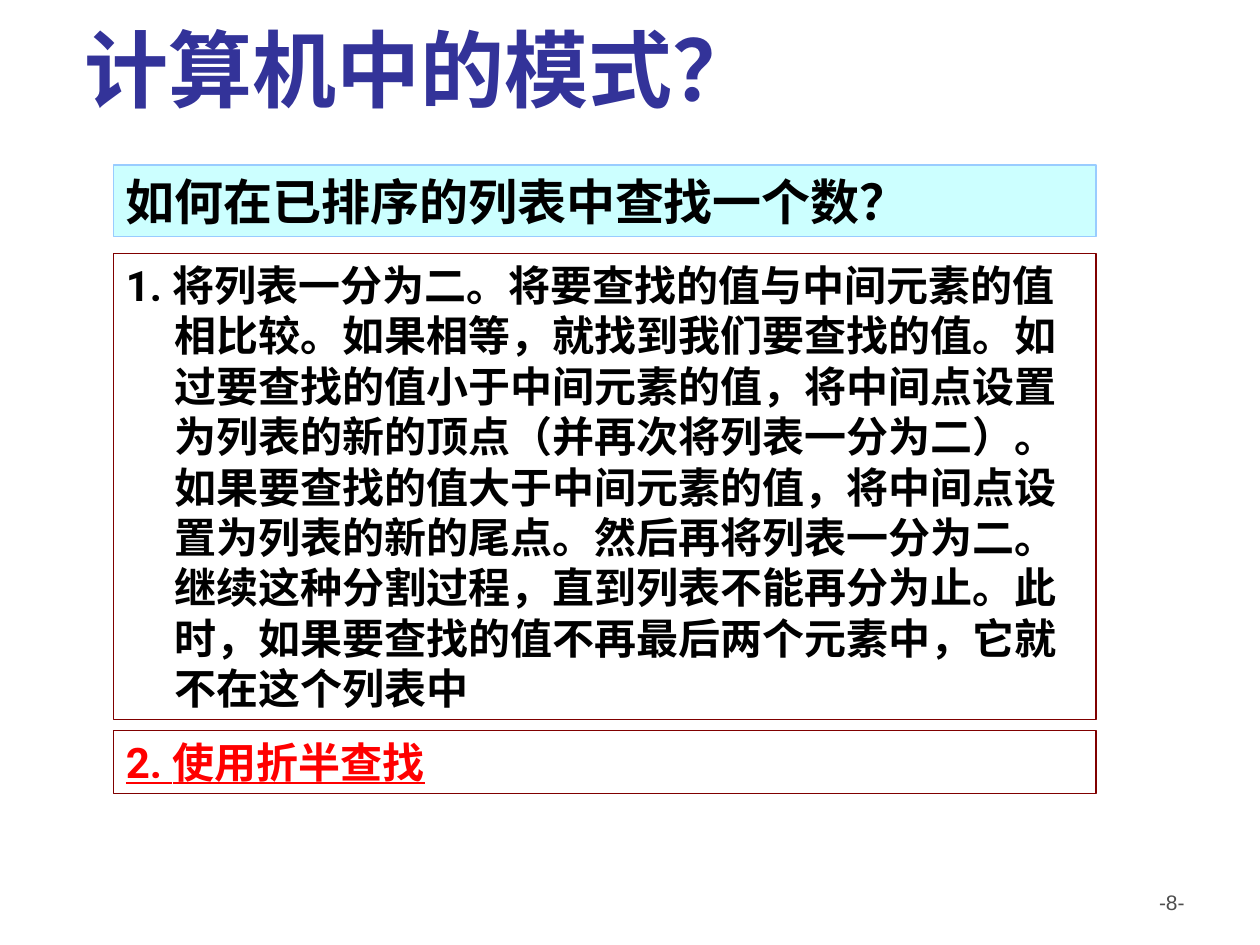
from pptx import Presentation
from pptx.dml.color import RGBColor
from pptx.enum.shapes import MSO_SHAPE
from pptx.enum.text import MSO_ANCHOR, MSO_AUTO_SIZE, PP_ALIGN
from pptx.oxml.ns import qn
from pptx.util import Pt

LEFT, WIDTH = 64.8, 561.6


def color(code):
    return RGBColor.from_string(code)


def place(shape, box):
    shape.left, shape.top, shape.width, shape.height = map(Pt, box)


def write(para, text, size, code, bold=True, line=False, face="Roboto"):
    run = para.add_run()
    run.text = text
    font = run.font
    font.name, font.size, font.bold = face, Pt(size), bold
    font.underline = line or None
    font.color.rgb = color(code)
    east = run._r.get_or_add_rPr().makeelement(qn("a:ea"), {"typeface": face})
    font._element.find(qn("a:latin")).addnext(east)


def add_title(slide, box, text):
    title = slide.shapes.title
    place(title, box)
    frame = title.text_frame
    frame.vertical_anchor = MSO_ANCHOR.BOTTOM
    frame.auto_size = MSO_AUTO_SIZE.NONE
    para = frame.paragraphs[0]
    para.alignment = PP_ALIGN.LEFT
    write(para, text, 48, "333399")


def add_panel(slide, box, text, size, fill, edge, ink="000000", hang=0, line=False):
    panel = slide.shapes.add_shape(MSO_SHAPE.RECTANGLE, *map(Pt, box))
    panel.shadow.inherit = False
    panel.fill.solid()
    panel.fill.fore_color.rgb = color(fill)
    panel.line.color.rgb = color(edge)
    panel.line.width = Pt(0.75)
    frame = panel.text_frame
    frame.word_wrap = True
    frame.auto_size = MSO_AUTO_SIZE.SHAPE_TO_FIT_TEXT
    frame.vertical_anchor = MSO_ANCHOR.TOP
    para = frame.paragraphs[0]
    para.alignment = PP_ALIGN.LEFT
    if hang:
        props = para._p.get_or_add_pPr()
        props.set("marL", str(Pt(hang)))
        props.set("indent", str(Pt(-hang)))
    write(para, text, size, ink, line=line)


def add_number(slide, box, text):
    frame = slide.shapes.add_textbox(*map(Pt, box)).text_frame
    frame.word_wrap = True
    para = frame.paragraphs[0]
    para.alignment = PP_ALIGN.RIGHT
    write(para, text, 12, "4D4D4D", bold=False, face="Arial")


def main():
    deck = Presentation()
    deck.slide_width, deck.slide_height = Pt(720), Pt(540)
    slide = deck.slides.add_slide(deck.slide_layouts[5])
    add_title(slide, (41, 20.2, 625, 51), "计算机中的模式？")
    add_panel(slide, (LEFT, 94.3, WIDTH, 41), "如何在已排序的列表中查找一个数？",
              28, "CCFFFF", "99CCFF")
    steps = [
        (144.7, 266.4, "000000", False,
         "1. 将列表一分为二。将要查找的值与中间元素的值相比较。如果相等，就找到我们要查找的值。"
         "如过要查找的值小于中间元素的值，将中间点设置为列表的新的顶点（并再次将列表一分为二）。"
         "如果要查找的值大于中间元素的值，将中间点设置为列表的新的尾点。然后再将列表一分为二。"
         "继续这种分割过程，直到列表不能再分为止。此时，如果要查找的值不再最后两个元素中，"
         "它就不在这个列表中"),
        (417.6, 36, "FF0000", True, "2. 使用折半查找"),
    ]
    for top, height, ink, line, text in steps:
        add_panel(slide, (LEFT, top, WIDTH, height), text, 24, "FFFFFF", "800000",
                  ink, 28, line)
    add_number(slide, (516, 504.7, 168, 37.4), "-8-")
    deck.save("out.pptx")


if __name__ == "__main__":
    main()
